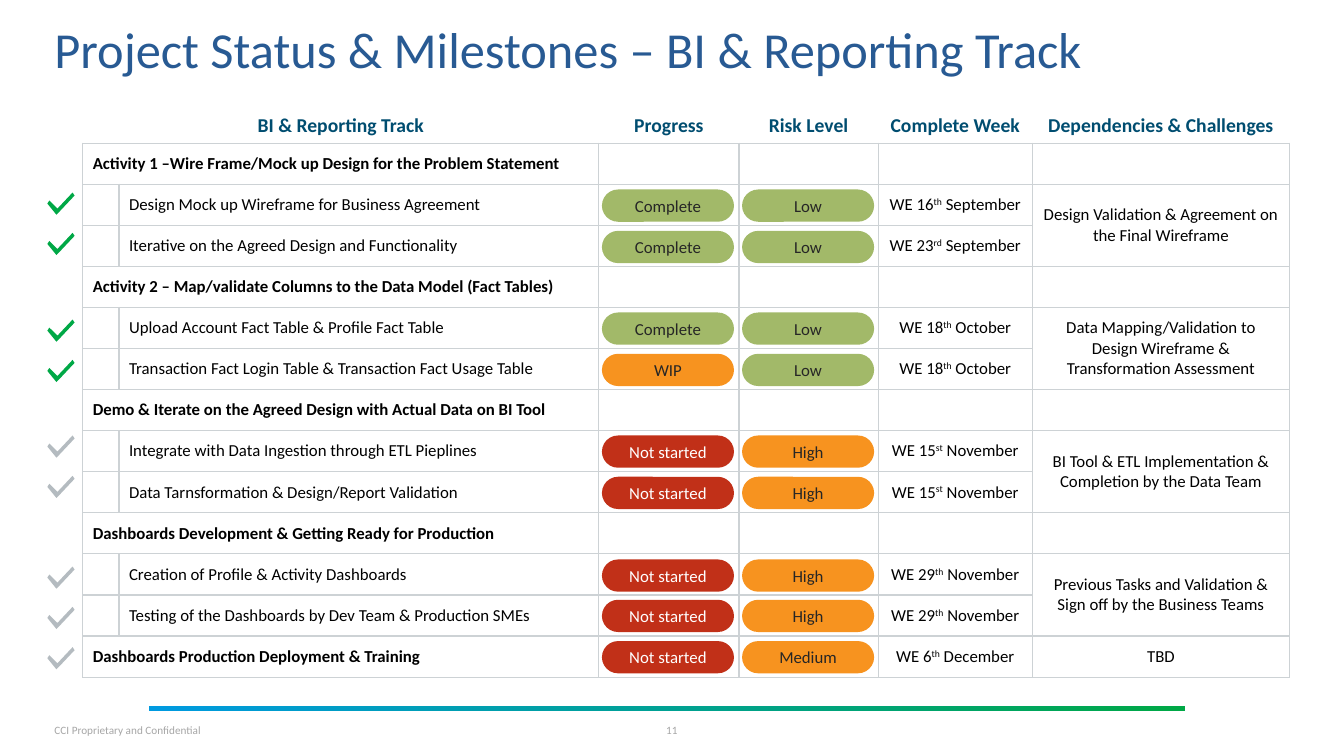
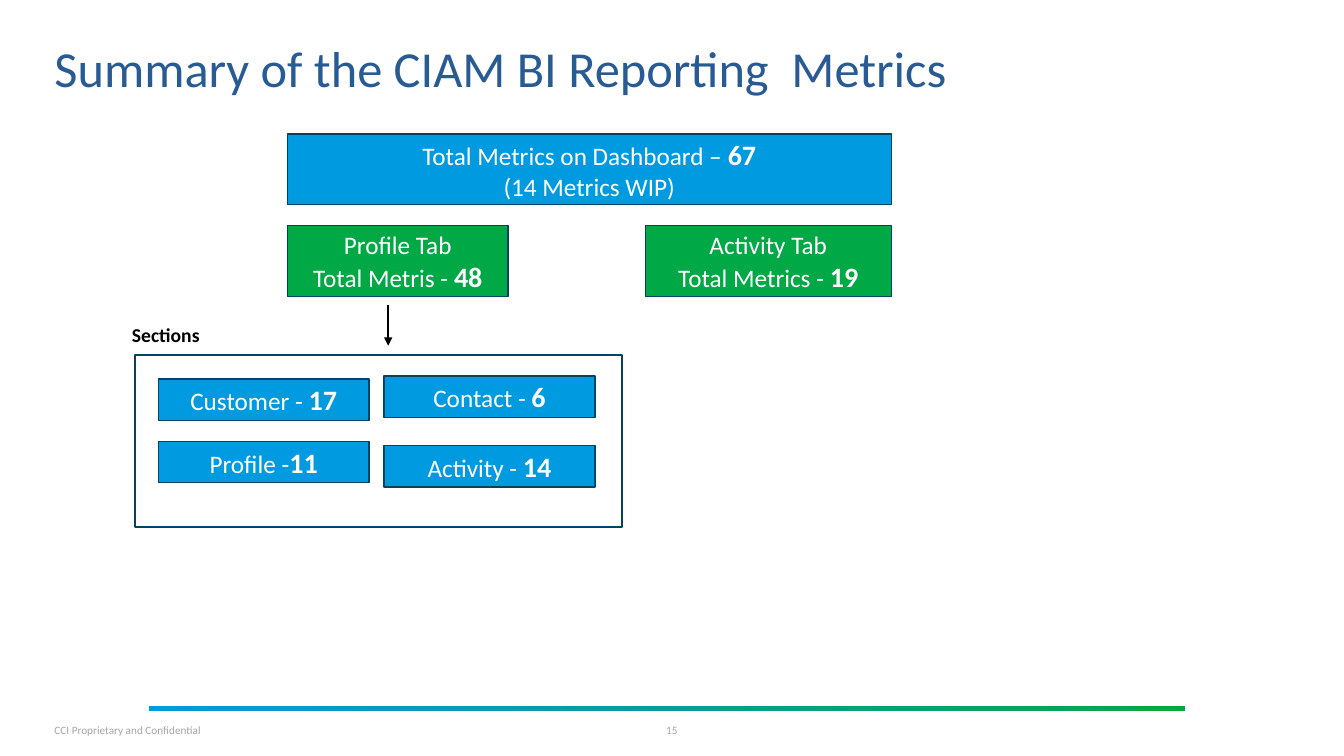
from lxml.etree import SubElement as Sub
from pptx import Presentation
from pptx.dml.color import RGBColor as Rgb
from pptx.enum.shapes import MSO_CONNECTOR as Conn, MSO_SHAPE as Shape
from pptx.enum.text import MSO_ANCHOR as Anchor, PP_ALIGN as Align
from pptx.oxml.ns import qn
from pptx.util import Pt

PX = 9144
FONT = "Calibri"
WHITE = Rgb(0xFF, 0xFF, 0xFF)
BLACK = Rgb(0, 0, 0)
DARK = Rgb(0x26, 0x26, 0x26)
GRAY = Rgb(0xA6, 0xA6, 0xA6)
SILVER = Rgb(0xB4, 0xBB, 0xC0)
TITLE = Rgb(0x28, 0x5A, 0x93)
HEADER = Rgb(0x00, 0x4D, 0x70)
EDGE = Rgb(0x00, 0x43, 0x62)
BLUE = Rgb(0x00, 0x9A, 0xE0)
GREEN = Rgb(0x00, 0xA8, 0x46)
OLIVE = Rgb(0xA2, 0xB9, 0x69)
ORANGE = Rgb(0xF7, 0x93, 0x1F)
RED = Rgb(0xC1, 0x30, 0x18)
GRID = "CDD2D5"

FOOTER = "CCI Proprietary and Confidential"
LEVELS = {"Complete": OLIVE, "Low": OLIVE, "WIP": ORANGE, "High": ORANGE,
          "Medium": ORANGE, "Not started": RED}
HEADS = ["BI & Reporting Track", "", "Progress", "Risk Level",
         "Complete Week", "Dependencies & Challenges"]
COLS = [36, 476, 139, 138, 153, 255]
ROWS = [
    (0, "Activity 1 –Wire Frame/Mock up Design for the Problem Statement"),
    (1, "Design Mock up Wireframe for Business Agreement", "Complete", "Low",
     ("16", "th", "September"), 191,
     "Design Validation & Agreement on the Final Wireframe"),
    (1, "Iterative on the Agreed Design and Functionality", "Complete", "Low",
     ("23", "rd", "September"), 231, ""),
    (0, "Activity 2 – Map/validate Columns to the Data Model (Fact Tables)"),
    (1, "Upload Account Fact Table & Profile Fact Table", "Complete", "Low",
     ("18", "th", "October"), 317,
     "Data Mapping/Validation to Design Wireframe & Transformation Assessment"),
    (1, "Transaction Fact Login Table & Transaction Fact Usage Table", "WIP",
     "Low", ("18", "th", "October"), 357, ""),
    (0, "Demo & Iterate on the Agreed Design with Actual Data on BI Tool"),
    (1, "Integrate with Data Ingestion through ETL Pieplines", "Not started",
     "High", ("15", "st", "November"), 432,
     "BI Tool & ETL Implementation & Completion by the Data Team"),
    (1, "Data Tarnsformation & Design/Report Validation", "Not started",
     "High", ("15", "st", "November"), 472, ""),
    (0, "Dashboards Development & Getting Ready for Production"),
    (1, "Creation of Profile & Activity Dashboards", "Not started", "High",
     ("29", "th", "November"), 562,
     "Previous Tasks and Validation & Sign off by the Business Teams"),
    (1, "Testing of the Dashboards by Dev Team & Production SMEs",
     "Not started", "High", ("29", "th", "November"), 602, ""),
    (0, "Dashboards Production Deployment & Training", "Not started",
     "Medium", ("6", "th", "December"), 642, "TBD"),
]
TICK = [(25, 0), (10, 16), (2, 8), (0, 11), (9, 22), (12, 19), (27, 3)]
BOXES = [
    (285, 133, 599, 70, BLUE,
     [("Total Metrics on Dashboard – ", "67"), ("(14 Metrics WIP)", "")]),
    (285, 224, 219, 70, GREEN, [("Profile Tab", ""), ("Total Metris - ", "48")]),
    (640, 224, 244, 70, GREEN,
     [("Activity Tab", ""), ("Total Metrics - ", "19")]),
    (134, 352, 483, 171, None, []),
    (157, 376, 209, 41, BLUE, [("Customer - ", "17")]),
    (157, 438, 209, 41, BLUE, [("Profile -", "11")]),
    (381, 373, 209, 41, BLUE, [("Contact - ", "6")]),
    (381, 442, 209, 41, BLUE, [("Activity - ", "14")]),
]


def px(*nums):
    return [round(n * PX) for n in nums]


def style(para, size, color, bold=False, align=Align.LEFT):
    para.alignment = align
    font = para.font
    font.name, font.size, font.bold = FONT, Pt(size), bold
    font.color.rgb = color


def label(slide, box, text, size, color, bold=False, align=Align.LEFT,
          anchor=Anchor.MIDDLE, pad=(0, 0, 0, 0)):
    frame = slide.shapes.add_textbox(*px(*box)).text_frame
    frame.word_wrap = True
    frame.vertical_anchor = anchor
    (frame.margin_left, frame.margin_top,
     frame.margin_right, frame.margin_bottom) = px(*pad)
    para = frame.paragraphs[0]
    para.text = text
    style(para, size, color, bold, align)
    return para


def block(slide, kind, box, fill, line=None):
    shape = slide.shapes.add_shape(kind, *px(*box))
    shape.shadow.inherit = False
    paint(shape, fill, line)
    shape.text_frame.word_wrap = True
    shape.text_frame.vertical_anchor = Anchor.MIDDLE
    return shape


def paint(shape, fill, line=None):
    if fill is None:
        shape.fill.background()
    else:
        shape.fill.solid()
        shape.fill.fore_color.rgb = fill
    if line is None:
        shape.line.fill.background()
    else:
        shape.line.color.rgb = line
        shape.line.width = Pt(1)


def start(deck, title, number, height):
    slide = deck.slides.add_slide(deck.slide_layouts[6])
    band = block(slide, Shape.RECTANGLE, (148, 700, 1027, 5), BLUE)
    band.fill.gradient()
    band.fill.gradient_angle = 0
    for stop, color in zip(band.fill.gradient_stops, (BLUE, GREEN)):
        stop.color.rgb = color
    head = label(slide, (54, 18, 1225, height), title, 36, TITLE,
                 pad=(0, 20, 0, 0))
    head.line_spacing = 0.8
    label(slide, (54, 713, 161, 23), FOOTER, 8, GRAY)
    label(slide, (648, 713, 37, 23), number, 8, GRAY, align=Align.CENTER)
    return slide


def border(cell, sides):
    props = cell._tc.get_or_add_tcPr()
    for side in sides:
        line = Sub(props, qn("a:ln" + side), w=str(Pt(1)))
        Sub(Sub(line, qn("a:solidFill")), qn("a:srgbClr"), val=GRID)


def write(cell, text, size=12, color=BLACK, bold=False, align=Align.CENTER,
          anchor=Anchor.MIDDLE):
    para = cell.text_frame.paragraphs[0]
    para.text = text
    style(para, size, color, bold, align)
    cell.vertical_anchor = anchor


def week(cell, day, suffix, month):
    write(cell, "WE " + day)
    cell.margin_left = cell.margin_right = 0
    para = cell.text_frame.paragraphs[0]
    high = para.add_run()
    high.text = suffix
    high._r.get_or_add_rPr().set("baseline", "30000")
    para.add_run().text = " " + month


def pill(slide, left, top, text):
    shape = block(slide, Shape.ROUNDED_RECTANGLE, (left, top, 131, 32),
                  LEVELS[text])
    shape.adjustments[0] = 0.5
    para = shape.text_frame.paragraphs[0]
    para.text = text
    style(para, 12, WHITE if LEVELS[text] == RED else DARK,
          align=Align.CENTER)


def tick(slide, top, color):
    points = [(47 + x, top + y) for x, y in TICK]
    path = slide.shapes.build_freeform(*points[0], scale=float(PX))
    path.add_line_segments(points[1:], close=True)
    shape = path.convert_to_shape()
    shape.shadow.inherit = False
    paint(shape, color)


def status(deck):
    slide = start(deck, "Project Status & Milestones – BI & Reporting Track",
                  "11", 51)
    left, top, first, body = 82, 97, 45, 530
    step = body / len(ROWS)
    table = slide.shapes.add_table(
        len(ROWS) + 1, len(COLS), *px(left, top, sum(COLS), first + body)).table
    table.first_row = table.horz_banding = False
    for col, wide in zip(table.columns, COLS):
        col.width = px(wide)[0]
    for r, row in enumerate(table.rows):
        row.height = px(step if r else first)[0]
        for cell in row.cells:
            border(cell, "LRTB" if r else "B")
            cell.fill.solid()
            cell.fill.fore_color.rgb = WHITE
            write(cell, "")
    table.cell(0, 0).merge(table.cell(0, 1))
    for c, text in enumerate(HEADS):
        if text:
            write(table.cell(0, c), text, 14, HEADER, True,
                  anchor=Anchor.BOTTOM)
    for r, (depth, name, *rest) in enumerate(ROWS, 1):
        if not depth:
            table.cell(r, 0).merge(table.cell(r, 1))
        write(table.cell(r, depth), name, bold=not depth, align=Align.LEFT)
        if not rest:
            continue
        state, risk, date, mark, need = rest
        week(table.cell(r, 4), *date)
        if need:
            if depth:
                table.cell(r, 5).merge(table.cell(r + 1, 5))
            write(table.cell(r, 5), need)
        y = round(top + first + (r - 1) * step + 5)
        pill(slide, 597, y, state)
        pill(slide, 736, y, risk)
        tick(slide, mark, SILVER if state == "Not started" else GREEN)


def metrics(deck):
    slide = start(deck, "Summary of the CIAM BI Reporting  Metrics", "15", 89)
    for *box, fill, lines in BOXES:
        frame = block(slide, Shape.RECTANGLE, box, fill, EDGE).text_frame
        for i, (text, count) in enumerate(lines):
            para = frame.add_paragraph() if i else frame.paragraphs[0]
            para.text = text
            style(para, 18, WHITE, align=Align.CENTER)
            if count:
                run = para.add_run()
                run.text = count
                run.font.size, run.font.bold = Pt(20), True
    arrow = slide.shapes.add_connector(Conn.STRAIGHT, *px(385, 303, 385, 343))
    arrow.line.color.rgb = BLACK
    arrow.line.width = Pt(1.5)
    Sub(arrow.line._get_or_add_ln(), qn("a:tailEnd"), type="triangle")
    Sub(arrow._element.spPr, qn("a:effectLst"))
    label(slide, (121, 315, 187, 34), "Sections", 14, BLACK, True,
          anchor=Anchor.TOP, pad=(10, 5, 10, 5))


def main():
    deck = Presentation()
    deck.slide_width, deck.slide_height = px(1333, 750)
    status(deck)
    metrics(deck)
    deck.save("out.pptx")


if __name__ == "__main__":
    main()
